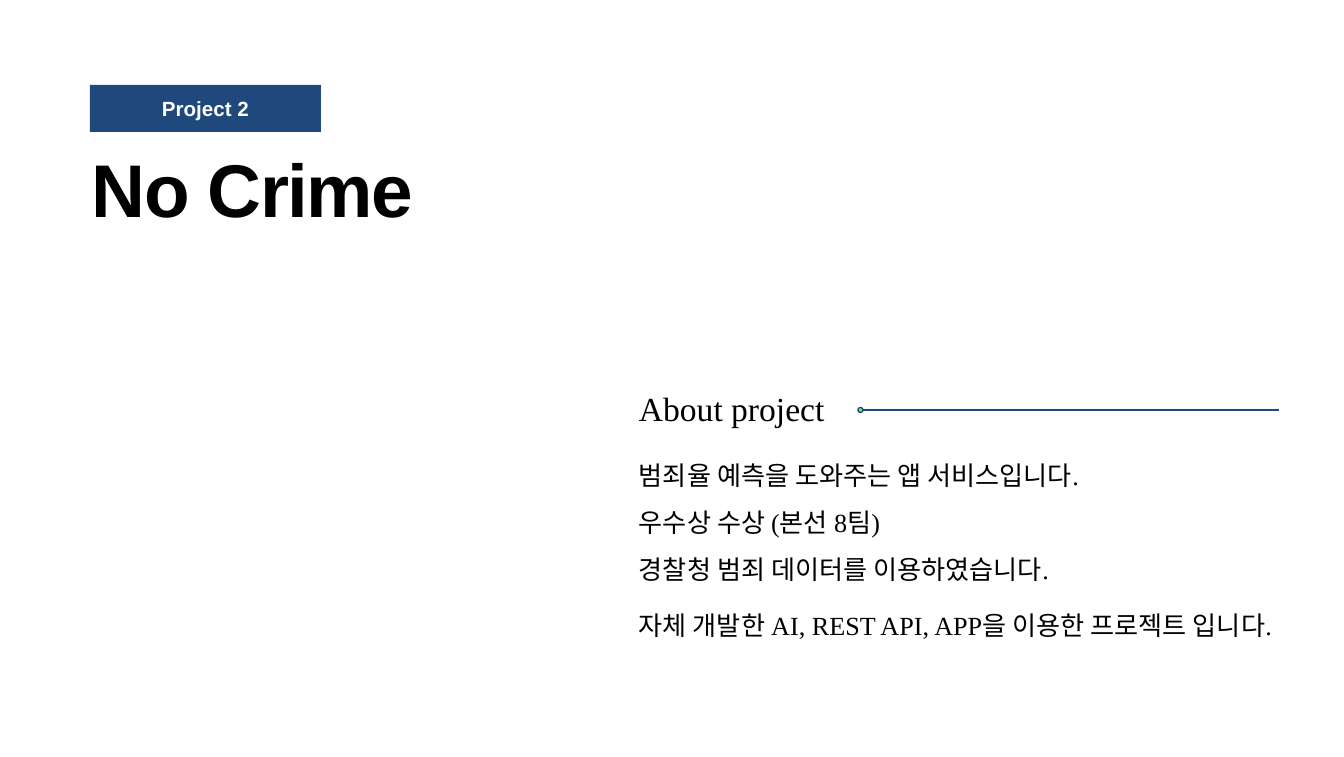
import dataclasses

import pptx
import pptx.dml.color
import pptx.enum.shapes
import pptx.enum.text
import pptx.oxml.ns
import pptx.util
from lxml import etree

EMU_PER_PX = 914400 / 134.4


@dataclasses.dataclass(frozen=True)
class Theme:
    navy: str = "1F497D"
    dot: str = "67F942"
    ink: str = "000000"
    paper: str = "FFFFFF"
    sans: str = "Arial"
    serif: str = "Times New Roman"
    title_size: int = 40
    heading_size: int = 18
    body_size: int = 14
    tag_size: int = 11
    line_width: float = 0.72


THEME = Theme()


def px(length):
    return pptx.util.Emu(round(length * EMU_PER_PX))


def rgb(value):
    return pptx.dml.color.RGBColor.from_string(value)


def write_paragraph(paragraph, text, *, size, font, color=THEME.ink, bold=False,
                    tracking=0, before=0, line_spacing=None, align=None):
    """Write text into a paragraph; each newline becomes a line break."""
    paragraph.space_before = pptx.util.Pt(before)
    paragraph.line_spacing = line_spacing
    paragraph.alignment = align
    for index, line in enumerate(text.split("\n")):
        if index:
            paragraph.add_line_break()
        run = paragraph.add_run()
        run.text = line
        run.font.size = pptx.util.Pt(size)
        run.font.name = font
        run.font.bold = bold
        run.font.color.rgb = rgb(color)
        if tracking:
            run.font._element.set("spc", str(round(tracking * 100)))


def set_frame(frame, inset_top=0):
    frame.margin_left = frame.margin_right = frame.margin_bottom = 0
    frame.margin_top = px(inset_top)
    frame.word_wrap = True
    return frame


def add_text_box(slide, box, inset_top=0):
    return set_frame(slide.shapes.add_textbox(*map(px, box)).text_frame, inset_top)


def add_shape(slide, kind, box, fill, line=None):
    shape = slide.shapes.add_shape(kind, *map(px, box))
    shape.shadow.inherit = False
    shape.fill.solid()
    shape.fill.fore_color.rgb = rgb(fill)
    if line:
        shape.line.color.rgb = rgb(line)
        shape.line.width = pptx.util.Pt(THEME.line_width)
    else:
        shape.line.fill.background()
    return shape


def add_header(slide, left, top, width):
    """Project tag with the project name below it."""
    tag = add_shape(slide, pptx.enum.shapes.MSO_SHAPE.RECTANGLE,
                    (left, top, 231, 47), THEME.navy)
    frame = set_frame(tag.text_frame)
    frame.vertical_anchor = pptx.enum.text.MSO_ANCHOR.MIDDLE
    write_paragraph(frame.paragraphs[0], "Project 2", size=THEME.tag_size,
                    font=THEME.sans, color=THEME.paper, bold=True,
                    align=pptx.enum.text.PP_ALIGN.CENTER)
    title = add_text_box(slide, (left + 2, top + 56, width, 94), inset_top=2)
    write_paragraph(title.paragraphs[0], "No Crime", size=THEME.title_size,
                    font=THEME.sans, bold=True, tracking=-0.8)


def add_rule(slide, left, center, width):
    """Horizontal rule that starts with a small dot."""
    diameter = 5
    line = slide.shapes.add_connector(
        pptx.enum.shapes.MSO_CONNECTOR.STRAIGHT,
        *map(px, (left + diameter, center, left + width, center)))
    line.line.color.rgb = rgb(THEME.navy)
    line.line.width = pptx.util.Pt(THEME.line_width)
    etree.SubElement(line._element.spPr, pptx.oxml.ns.qn("a:effectLst"))
    add_shape(slide, pptx.enum.shapes.MSO_SHAPE.OVAL,
              (left, center - diameter / 2, diameter, diameter),
              THEME.dot, THEME.navy)


def add_about(slide, left, top, width, height):
    """Heading with its rule, then the project facts."""
    add_rule(slide, left + 219, top + 44, 421)
    frame = add_text_box(slide, (left, top, width, height), inset_top=22)
    write_paragraph(frame.paragraphs[0], "About project",
                    size=THEME.heading_size, font=THEME.serif)
    facts = [
        ("범죄율 예측을 도와주는 앱 서비스입니다.\n우수상 수상 (본선 8팀)", 8.3, 1.5),
        ("경찰청 범죄 데이터를 이용하였습니다.", 8.3, None),
        ("자체 개발한 AI, REST API, APP을 이용한 프로젝트 입니다.", 0.1, 1.79),
    ]
    for text, before, line_spacing in facts:
        write_paragraph(frame.add_paragraph(), text, size=THEME.body_size,
                        font=THEME.serif, before=before,
                        line_spacing=line_spacing)


def main():
    presentation = pptx.Presentation()
    presentation.slide_width = px(1344)
    presentation.slide_height = px(757)
    slide = presentation.slides.add_slide(presentation.slide_layouts[6])
    add_header(slide, 90, 85, 400)
    add_about(slide, 639, 366, 672, 277)
    presentation.save("out.pptx")


if __name__ == "__main__":
    main()
